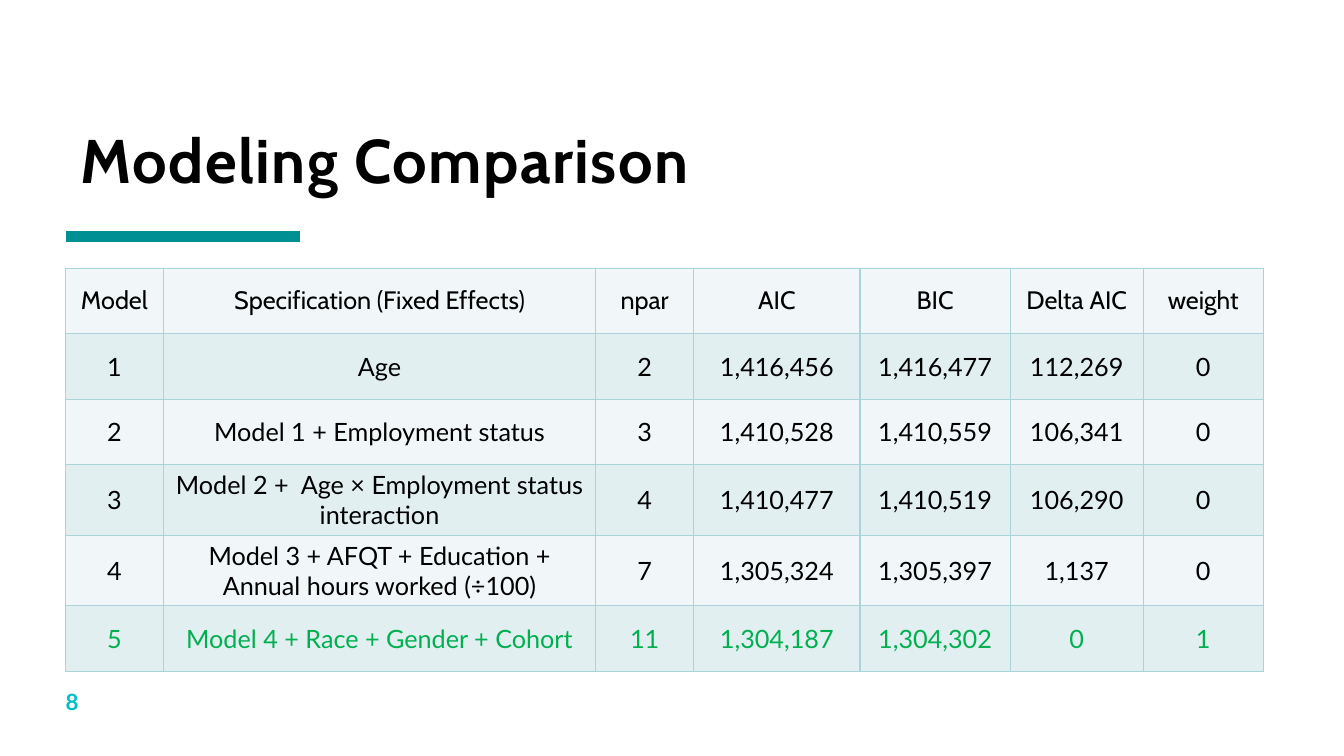
from dataclasses import dataclass

from pptx import Presentation
from pptx import util as u
from pptx.dml.color import RGBColor
from pptx.enum import shapes, text
from pptx.oxml import ns
from lxml import etree

PX = 9144


@dataclass(frozen=True)
class Theme:
    heading_font: str = "Cabin"
    body_font: str = "Lato"
    ink: str = "000000"
    rule: str = "008F93"
    number: str = "00BFC4"
    border: str = "A9D4DB"
    bands: tuple = ("F1F7F8", "E2EFF1")
    highlight: str = "00B050"
    title_size: int = 44
    table_size: int = 18
    number_size: int = 16


THEME = Theme()
HEADER = ("Model", "Specification (Fixed Effects)", "npar", "AIC", "BIC", "Delta AIC", "weight")
MODELS = (
    ("1", "Age", "2", "1,416,456", "1,416,477", "112,269", "0"),
    ("2", "Model 1 + Employment status", "3", "1,410,528", "1,410,559", "106,341", "0"),
    ("3", "Model 2 +  Age × Employment status interaction", "4", "1,410,477", "1,410,519", "106,290", "0"),
    ("4", "Model 3 + AFQT + Education + Annual hours worked (÷100)", "7", "1,305,324", "1,305,397", "1,137", "0"),
    ("5", "Model 4 + Race + Gender + Cohort", "11", "1,304,187", "1,304,302", "0", "1"),
)
COLUMN_WIDTHS = (97, 429, 97, 165, 149, 132, 119)
ROW_HEIGHT = 65


def px(*lengths):
    return [u.Emu(length * PX) for length in lengths]


def apply(target, values):
    for name, value in values.items():
        setattr(target, name, value)


def write(frame, content, font_name, size, color, bold=False, **paragraph_format):
    paragraph = frame.paragraphs[0]
    apply(paragraph, paragraph_format)
    run = paragraph.add_run()
    run.text = content
    apply(run.font, {"name": font_name, "size": u.Pt(size), "bold": bold})
    run.font.color.rgb = RGBColor.from_string(color)
    return run


def set_frame(frame, anchor):
    apply(frame, {
        "margin_left": 0, "margin_top": 0, "margin_right": 0, "margin_bottom": 0,
        "word_wrap": True, "auto_size": text.MSO_AUTO_SIZE.NONE, "vertical_anchor": anchor,
    })


def add_title(slide, box):
    title = slide.shapes.title
    apply(title, dict(zip(("left", "top", "width", "height"), px(*box))))
    set_frame(title.text_frame, text.MSO_ANCHOR.BOTTOM)
    run = write(title.text_frame, " Modeling Comparison", THEME.heading_font, THEME.title_size,
                THEME.ink, True, alignment=text.PP_ALIGN.LEFT, line_spacing=0.8)
    run.font._element.set("spc", "100")


def add_rule(slide, box):
    left, top, width, height = box
    rule = slide.shapes.add_connector(
        shapes.MSO_CONNECTOR.STRAIGHT, *px(left, top, left + width, top + height))
    rule.line.width = u.Pt(8)
    rule.line.color.rgb = RGBColor.from_string(THEME.rule)
    etree.SubElement(rule._element.spPr, ns.qn("a:effectLst"))


def add_borders(cell):
    properties = cell._tc.get_or_add_tcPr()
    for side in ("lnL", "lnR", "lnT", "lnB"):
        line = etree.SubElement(properties, ns.qn(f"a:{side}"), w=str(u.Pt(1)))
        fill = etree.SubElement(line, ns.qn("a:solidFill"))
        etree.SubElement(fill, ns.qn("a:srgbClr"), val=THEME.border)


def add_model_table(slide, box):
    rows = (HEADER, *MODELS)
    table = slide.shapes.add_table(len(rows), len(HEADER), *px(*box)).table
    for column, width in zip(table.columns, COLUMN_WIDTHS):
        column.width = u.Emu(width * PX)
    for index, values in enumerate(rows):
        table.rows[index].height = u.Emu(ROW_HEIGHT * PX)
        font_name = THEME.body_font if index else THEME.heading_font
        color = THEME.highlight if index == len(MODELS) else THEME.ink
        for cell, value in zip(table.rows[index].cells, values):
            add_borders(cell)
            cell.fill.solid()
            cell.fill.fore_color.rgb = RGBColor.from_string(THEME.bands[index % 2])
            cell.vertical_anchor = text.MSO_ANCHOR.MIDDLE
            write(cell.text_frame, value, font_name, THEME.table_size, color,
                  alignment=text.PP_ALIGN.CENTER)


def add_slide_number(slide, box):
    number = slide.shapes.add_textbox(*px(*box))
    set_frame(number.text_frame, text.MSO_ANCHOR.TOP)
    write(number.text_frame, "8", THEME.body_font, THEME.number_size, THEME.number, True)


def add_comparison_slide(presentation, box):
    left, top, width, height = box
    slide = presentation.slides.add_slide(presentation.slide_layouts[5])
    add_rule(slide, (left, top + 171, 233, 0))
    add_title(slide, (left, top, 1200, 130))
    add_model_table(slide, (left, top + 202, width, ROW_HEIGHT * (len(MODELS) + 1)))
    add_slide_number(slide, (left, top + height - 45, 59, 45))


def main():
    presentation = Presentation()
    presentation.slide_width, presentation.slide_height = px(1333, 750)
    add_comparison_slide(presentation, (65, 64, sum(COLUMN_WIDTHS), 664))
    presentation.save("out.pptx")


if __name__ == "__main__":
    main()
